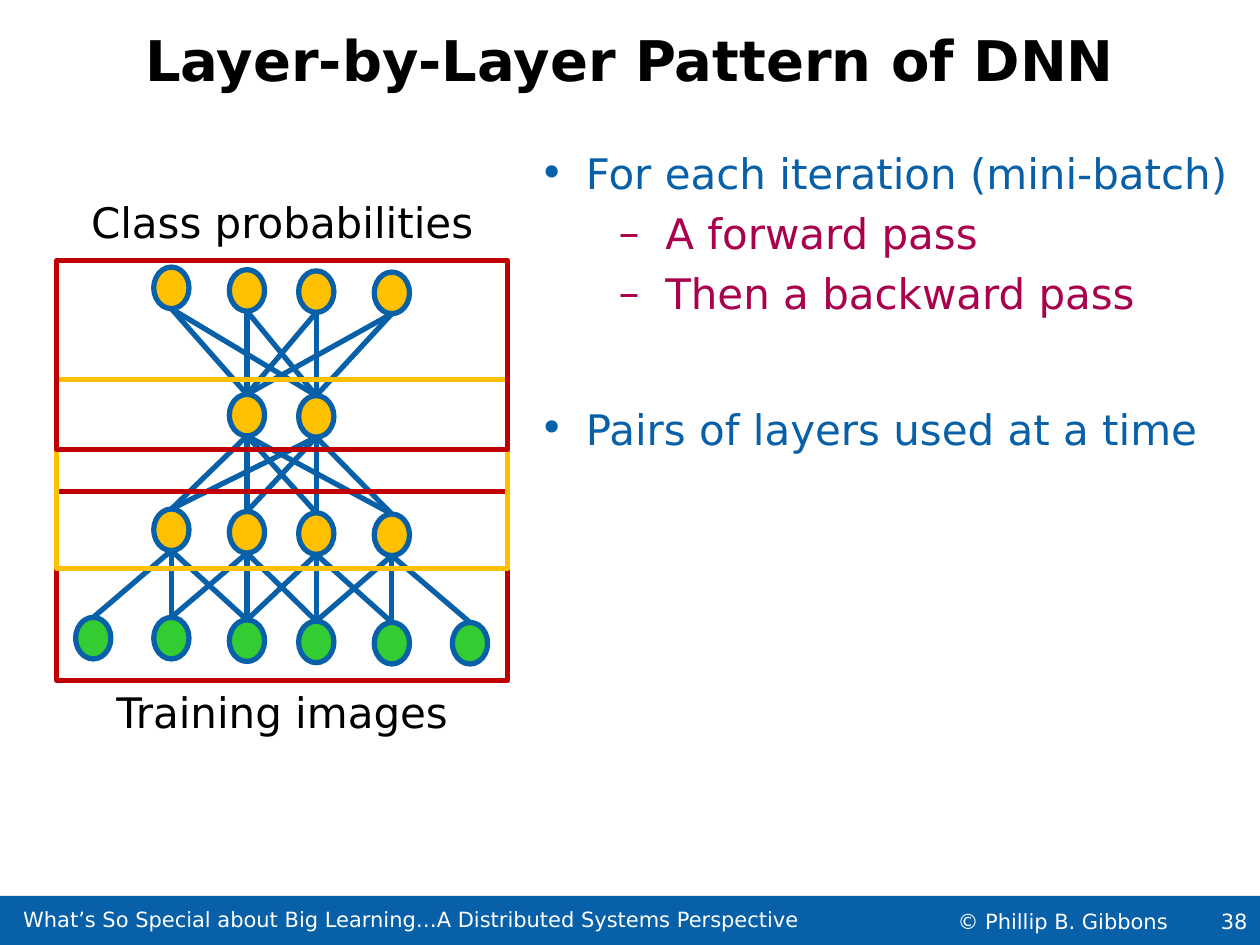
from pptx import Presentation
from pptx.dml.color import RGBColor
from pptx.enum.shapes import MSO_CONNECTOR, MSO_SHAPE
from pptx.enum.text import MSO_ANCHOR, PP_ALIGN
from pptx.oxml.ns import qn
from pptx.util import Inches, Pt
from lxml import etree

FONT = "DejaVu Sans"
COLORS = {
    "blue": "0860A8", "berry": "AA014C", "red": "C00000", "amber": "FFC000",
    "green": "33CC33", "black": "000000", "white": "FFFFFF",
}
NODE_W, NODE_H = 0.28, 0.33


def rgb(name):
    return RGBColor.from_string(COLORS[name])


def write(p, text, size=24, color="black", bold=False, align=None):
    r = p.add_run()
    r.text = text
    r.font.name, r.font.size, r.font.bold = FONT, Pt(size), bold
    r.font.color.rgb = rgb(color)
    p.alignment = align


def set_frame(tf, margin=0.0, anchor=MSO_ANCHOR.TOP, wrap=True):
    tf.margin_left = tf.margin_right = Inches(margin)
    tf.margin_top = tf.margin_bottom = Inches(margin / 2)
    tf.vertical_anchor = anchor
    tf.word_wrap = wrap


def add_text(s, box, text, margin=0.0, anchor=MSO_ANCHOR.TOP, **fmt):
    sp = s.shapes.add_textbox(*map(Inches, box))
    set_frame(sp.text_frame, margin, anchor)
    write(sp.text_frame.paragraphs[0], text, **fmt)


def add_shape(s, kind, box, fill=None, line=None):
    sp = s.shapes.add_shape(kind, *map(Inches, box))
    sp.shadow.inherit = False
    if fill:
        sp.fill.solid()
        sp.fill.fore_color.rgb = rgb(fill)
    else:
        sp.fill.background()
    if line:
        sp.line.color.rgb = rgb(line)
        sp.line.width = Pt(3)
    else:
        sp.line.fill.background()
    return sp


def add_edge(s, lower, upper):
    ends = (lower[0] + NODE_W / 2, lower[1], upper[0] + NODE_W / 2, upper[1] + NODE_H)
    c = s.shapes.add_connector(MSO_CONNECTOR.STRAIGHT, *map(Inches, ends))
    c.line.color.rgb = rgb("blue")
    c.line.width = Pt(3)
    etree.SubElement(c._element.spPr, qn("a:effectLst"))


def add_footer(s, x, y, w, h):
    bar = add_shape(s, MSO_SHAPE.RECTANGLE, (x, y, w, h), fill="blue")
    set_frame(bar.text_frame, 0.1, MSO_ANCHOR.MIDDLE, wrap=False)
    write(bar.text_frame.paragraphs[0], "38", size=12, color="white", align=PP_ALIGN.RIGHT)
    fmt = dict(size=12, color="white", align=PP_ALIGN.CENTER, anchor=MSO_ANCHOR.MIDDLE)
    add_text(s, (x + 6.88, y + 0.06, 3.11, 0.28), "© Phillip B. Gibbons", **fmt)
    add_text(s, (x - 0.1, y + 0.1, 6.73, 0.17),
             "What’s So Special about Big Learning…A Distributed Systems Perspective", **fmt)


def add_title(s, *box):
    sp = s.shapes.title
    sp.left, sp.top, sp.width, sp.height = map(Inches, box)
    set_frame(sp.text_frame)
    write(sp.text_frame.paragraphs[0], "Layer-by-Layer Pattern of DNN",
          size=32, bold=True, align=PP_ALIGN.CENTER)


def add_bullets(s, *box):
    items = [
        ("For each iteration (mini-batch)", 0, 5.6),
        ("A forward pass", 1, 5.6),
        ("Then a backward pass", 1, 5.6),
        ("Pairs of layers used at a time", 0, 48.6),
    ]
    levels = [("•", 0.37, "blue"), ("–", 1, "berry")]
    tf = s.shapes.add_textbox(*map(Inches, box)).text_frame
    set_frame(tf)
    for i, (text, level, before) in enumerate(items):
        p = tf.add_paragraph() if i else tf.paragraphs[0]
        mark, indent, color = levels[level]
        write(p, text, color=color, align=PP_ALIGN.LEFT)
        p.level = level
        p.space_before = Pt(before)
        pPr = p._p.get_or_add_pPr()
        pPr.set("marL", str(Inches(indent)))
        pPr.set("indent", str(-Inches(0.37)))
        etree.SubElement(pPr, qn("a:buFont"), typeface=FONT)
        etree.SubElement(pPr, qn("a:buChar"), char=mark)


def add_network(s, x, y, w, h):
    columns = [0.15, 0.77, 1.37, 1.92, 2.52, 3.14]
    drift = [0, 0, 0.02, 0.03, 0.04, 0.04]
    layers = [
        [(x + columns[c], y + top + drift[c]) for c in used]
        for top, used in [(3.39, range(6)), (2.53, range(1, 5)),
                          (1.6, range(2, 4)), (0.61, range(1, 5))]
    ]
    for i, layer in enumerate(layers):
        for node in layer:
            add_shape(s, MSO_SHAPE.OVAL, (*node, NODE_W, NODE_H),
                      fill="amber" if i else "green", line="blue")
    for i, (below, above) in enumerate(zip(layers, layers[1:])):
        for j, upper in enumerate(above):
            for lower in below if i else below[j:j + 3]:
                add_edge(s, lower, upper)

    for top, text in [(0, "Class probabilities"), (h - 0.5, "Training images")]:
        add_text(s, (x + 0.08, y + top, w - 0.16, 0.5), text,
                 margin=0.1, align=PP_ALIGN.CENTER)
    for top, color in [(2.39, "red"), (1.5, "amber"), (0.56, "red")]:
        add_shape(s, MSO_SHAPE.RECTANGLE, (x, y + top, w, 1.5), line=color)


def main():
    prs = Presentation()
    prs.slide_width, prs.slide_height = Inches(10), Inches(7.5)
    s = prs.slides.add_slide(prs.slide_layouts[5])
    add_footer(s, 0, 7.11, 10, 0.4)
    add_title(s, 0, 0.2, 10, 0.97)
    add_bullets(s, 4.28, 1.17, 5.72, 5.9)
    add_network(s, 0.45, 1.51, 3.58, 4.39)
    prs.save("out.pptx")


if __name__ == "__main__":
    main()
